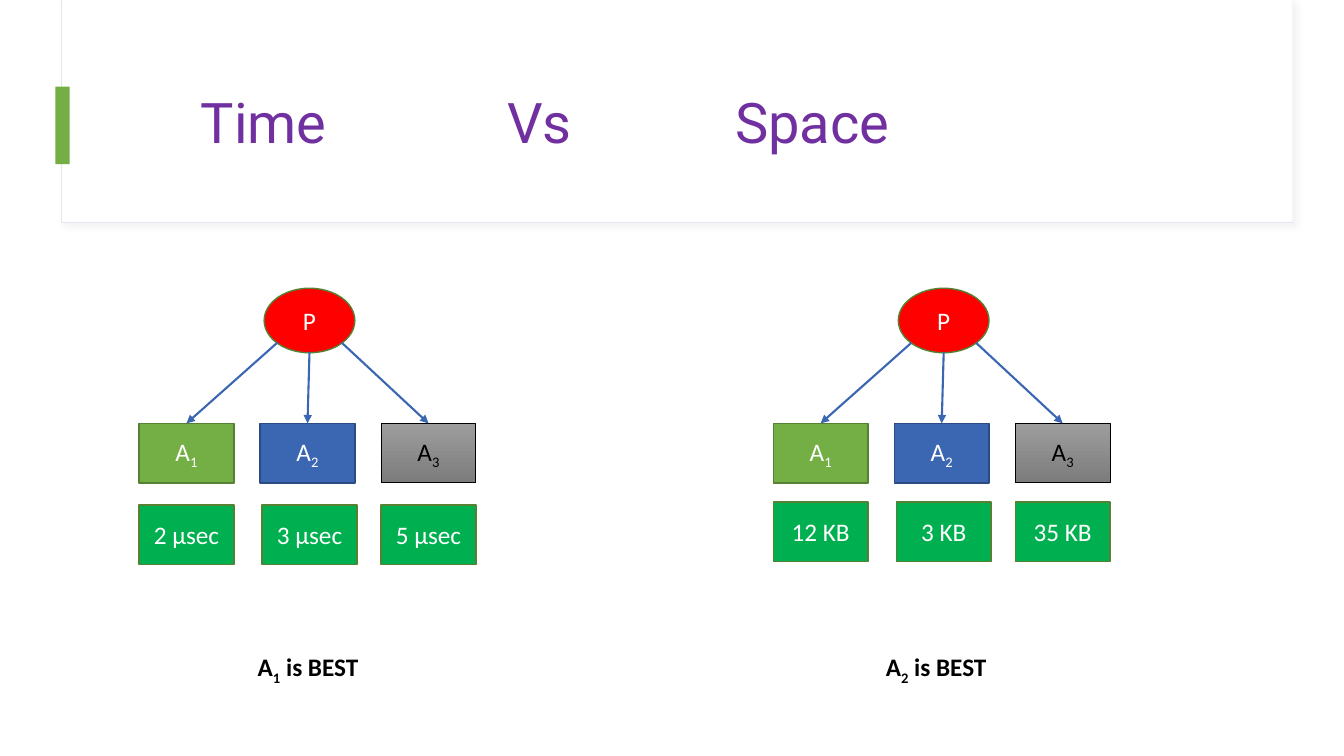
"""Build the slide that weighs running time against memory space for three algorithms."""
import pptx
import pptx.dml.color
import pptx.enum.shapes
import pptx.enum.text
import pptx.oxml
import pptx.oxml.ns
import pptx.util

Inches, Pt = pptx.util.Inches, pptx.util.Pt
RGB = pptx.dml.color.RGBColor
SHAPE = pptx.enum.shapes.MSO_SHAPE
ALIGN = pptx.enum.text.PP_ALIGN
ANCHOR = pptx.enum.text.MSO_ANCHOR

WHITE, BLACK = RGB(0xFF, 0xFF, 0xFF), RGB(0, 0, 0)
PURPLE, RED = RGB(0x70, 0x30, 0xA0), RGB(0xFF, 0, 0)
LIME, MOSS = RGB(0x74, 0xAF, 0x45), RGB(0x56, 0x81, 0x33)
BLUE, NAVY = RGB(0x3B, 0x66, 0xB1), RGB(0x2C, 0x4B, 0x83)
EMERALD, MIST = RGB(0, 0xB0, 0x50), RGB(0xE3, 0xE6, 0xF0)
LIGHT_GREY, DARK_GREY = RGB(0x9D, 0x9D, 0x9D), RGB(0x7C, 0x7C, 0x7C)

LABEL = {"name": "Calibri", "size": Pt(18), "bold": False}
HEADING = {"name": "Roboto", "size": Pt(40), "bold": False}
BOX_WIDTH, BOX_HEIGHT, BOX_PITCH = 0.94, 0.59, 1.2
MEASURE_OFFSETS = (0, 1.22, 2.4)
ARROW_STARTS = ((1.37, 3.4), (1.69, 3.49), (2.01, 3.4))
ALGORITHMS = (
    ("1", (LIME,), MOSS, 1, WHITE),
    ("2", (BLUE,), NAVY, 1, WHITE),
    ("3", (LIGHT_GREY, DARK_GREY), BLACK, 0.5, BLACK),
)
PANELS = (
    (1.38, 5.01, ("2 µsec", "3 µsec", "5 µsec"), 1.38, "1"),
    (7.67, 4.98, ("12 KB", "3 KB", "35 KB"), 7.61, "2"),
)


def xml(tag, content):
    return pptx.oxml.parse_xml(f"<a:{tag} {pptx.oxml.ns.nsdecls('a')}{content}")


def apply_format(font, values, color):
    for name, value in values.items():
        setattr(font, name, value)
    font.color.rgb = color


def add_block(shapes, kind, bounds, colors, outline=None, weight=1):
    block = shapes.add_shape(kind, *map(Inches, bounds))
    block.shadow.inherit = False
    if len(colors) == 1:
        block.fill.solid()
        block.fill.fore_color.rgb = colors[0]
    else:
        block.fill.gradient()
        block.fill.gradient_angle = 270
        for stop, color in zip(block.fill.gradient_stops, colors):
            stop.color.rgb = color
    if outline is None:
        block.line.fill.background()
    else:
        block.line.color.rgb = outline
        block.line.width = Pt(weight)
    return block


def write_label(block, color, text, subscript="", ending="", bold=False):
    block.text_frame.vertical_anchor = ANCHOR.MIDDLE
    block.text_frame.word_wrap = True
    paragraph = block.text_frame.paragraphs[0]
    paragraph.alignment = ALIGN.CENTER
    for part, baseline in ((text, 0), (subscript, -25000), (ending, 0)):
        if part:
            run = paragraph.add_run()
            run.text = part
            apply_format(run.font, {**LABEL, "bold": bold}, color)
            if baseline:
                run._r.get_or_add_rPr().set("baseline", str(baseline))


def add_arrow(shapes, start, end):
    arrow = shapes.add_connector(
        pptx.enum.shapes.MSO_CONNECTOR.STRAIGHT, *map(Inches, (*start, *end)))
    arrow.line.color.rgb = BLUE
    arrow.line.width = Pt(1.5)
    arrow.line._get_or_add_ln().append(xml("tailEnd", ' type="triangle"/>'))
    arrow._element.spPr.append(xml("effectLst", "/>"))


def add_header(slide):
    frame = add_block(slide.shapes, SHAPE.RECTANGLE, (0.61, 0, 12.21, 2.21), (WHITE,), MIST, 0.75)
    effects = frame._element.spPr.find(pptx.oxml.ns.qn("a:effectLst"))
    effects.append(xml("outerShdw", f' blurRad="{Pt(4)}" dist="{Pt(3)}" dir="2700000">'
                       '<a:srgbClr val="D9D9D9"><a:alpha val="30000"/></a:srgbClr></a:outerShdw>'))
    add_block(slide.shapes, SHAPE.RECTANGLE, (0.62, 0, 12.2, 2.2), (WHITE,))
    add_block(slide.shapes, SHAPE.RECTANGLE, (0.55, 0.86, 0.14, 0.77), (LIME,))

    title = slide.shapes.title
    slide.shapes._spTree.append(title._element)
    bounds = {"left": 1.22, "top": 0.6, "width": 11.12, "height": 1.29}
    for side, length in bounds.items():
        setattr(title, side, Inches(length))
    title.text_frame.text = "Time\tVs\tSpace"
    title.text_frame.vertical_anchor = ANCHOR.MIDDLE
    title.text_frame.margin_left = Inches(0.77)
    heading = title.text_frame.paragraphs[0]
    heading.alignment = ALIGN.LEFT
    heading.line_spacing = 0.9
    stops = "".join(f'<a:tab pos="{Inches(stop)}" algn="l"/>' for stop in (3.04, 5.3))
    heading._p.get_or_add_pPr().append(xml("tabLst", f">{stops}</a:tabLst>"))
    apply_format(heading.runs[0].font, HEADING, PURPLE)


def add_panel(slide, left, measure_top, measures, verdict_left, winner):
    tree = slide.shapes.add_group_shape().shapes
    problem = add_block(tree, SHAPE.OVAL, (left + 1.24, 2.86, 0.9, 0.64), (RED,), MOSS)
    write_label(problem, WHITE, "P")
    for column, (number, fill, outline, weight, ink) in enumerate(ALGORITHMS):
        box_left = left + column * BOX_PITCH
        algorithm = add_block(tree, SHAPE.RECTANGLE, (box_left, 4.2, BOX_WIDTH, BOX_HEIGHT),
                              fill, outline, weight)
        write_label(algorithm, ink, "A", number)
        start_offset, start_top = ARROW_STARTS[column]
        add_arrow(tree, (left + start_offset, start_top), (box_left + BOX_WIDTH / 2, 4.2))
        measure = add_block(tree, SHAPE.RECTANGLE,
                            (left + MEASURE_OFFSETS[column], measure_top, BOX_WIDTH, BOX_HEIGHT),
                            (EMERALD,), MOSS)
        write_label(measure, WHITE, measures[column])
    verdict = add_block(slide.shapes, SHAPE.RECTANGLE, (verdict_left, 6.16, 3.35, 0.95),
                        (WHITE,), WHITE)
    write_label(verdict, BLACK, "A", winner, " is BEST", bold=True)


def main():
    deck = pptx.Presentation()
    deck.slide_width, deck.slide_height = Inches(13.33), Inches(7.5)
    slide = deck.slides.add_slide(deck.slide_layouts[5])
    add_header(slide)
    for panel in PANELS:
        add_panel(slide, *panel)
    deck.save("out.pptx")


if __name__ == "__main__":
    main()
